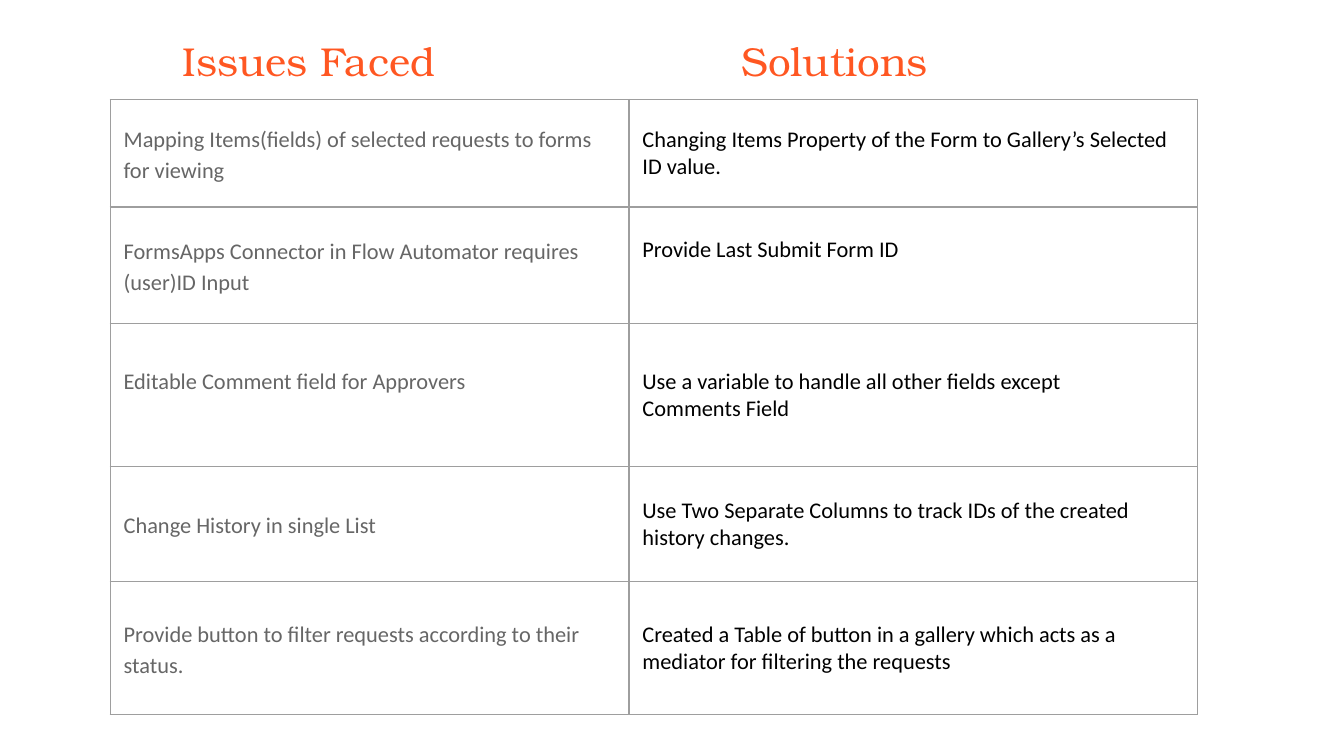
from dataclasses import dataclass

import pptx
import pptx.dml.color
import pptx.enum.text
import pptx.oxml
import pptx.oxml.ns
import pptx.util
from pptx.util import Inches

COLORS = {"heading": "FF5722", "issue": "666666", "solution": "000000", "border": "9E9E9E"}
SLIDE_WIDTH = Inches(10)
MARGIN = Inches(0.1)
MIDDLE = pptx.enum.text.MSO_ANCHOR.MIDDLE
BOTTOM = pptx.enum.text.MSO_ANCHOR.BOTTOM
HEADING_FONT = {"name": "TeX Gyre Bonum", "size": pptx.util.Pt(21.6)}
BODY_FONT = {"name": "Calibri", "size": pptx.util.Pt(12)}
ISSUE_SPACING = {"line_spacing": 1.15, "space_after": pptx.util.Pt(12)}
MARGINS = {f"margin_{side}": MARGIN for side in ("left", "right", "top", "bottom")}


@dataclass
class Heading:
    text: str
    left: float


@dataclass
class TableRow:
    height: float
    issue: str
    solution: str
    issue_lift: float = 0
    solution_lift: float = 0


HEADINGS = [Heading("Issues Faced", 1.26), Heading("Solutions", 5.42)]
COLUMN_WIDTHS = [3.86, 4.23]
ROWS = [
    TableRow(0.8, "Mapping Items(fields) of selected requests to forms for viewing",
             "Changing Items Property of the Form to Gallery’s Selected ID value."),
    TableRow(0.87, "FormsApps Connector in Flow Automator requires (user)ID Input",
             "Provide Last Submit Form ID", solution_lift=0.23),
    TableRow(1.06, "Editable Comment field for Approvers",
             "Use a variable to handle all other fields except\nComments Field", issue_lift=0.23),
    TableRow(0.86, "Change History in single List",
             "Use Two Separate Columns to track IDs of the created history changes."),
    TableRow(0.99, "Provide button to filter requests according to their status.",
             "Created a Table of button in a gallery which acts as a mediator for filtering the requests"),
]


def apply_format(target: object, values: dict) -> None:
    for name, value in values.items():
        setattr(target, name, value)


def write_text(text_frame: pptx.text.text.TextFrame, text: str, font: dict, color: str,
               spacing: dict) -> None:
    text_frame.text = text
    for paragraph in text_frame.paragraphs:
        apply_format(paragraph, spacing)
        for run in paragraph.runs:
            apply_format(run.font, font)
            run.font.color.rgb = pptx.dml.color.RGBColor.from_string(COLORS[color])


def add_heading(slide: pptx.slide.Slide, heading: Heading) -> None:
    shape = slide.shapes.add_textbox(Inches(heading.left), Inches(0.16), Inches(3.07), Inches(0.57))
    apply_format(shape.text_frame, {**MARGINS, "word_wrap": True, "vertical_anchor": BOTTOM})
    write_text(shape.text_frame, heading.text, HEADING_FONT, "heading", {})


def add_borders(cell: pptx.table._Cell) -> None:
    properties = cell._tc.get_or_add_tcPr()
    for position, side in enumerate(("lnL", "lnR", "lnT", "lnB")):
        border = pptx.oxml.parse_xml(
            f'<a:{side} {pptx.oxml.ns.nsdecls("a")} w="{pptx.util.Pt(0.75)}"><a:solidFill>'
            f'<a:srgbClr val="{COLORS["border"]}"/></a:solidFill></a:{side}>')
        properties.insert(position, border)


def fill_cell(cell: pptx.table._Cell, text: str, color: str, spacing: dict, lift: float) -> None:
    """Write one cell; lift is extra bottom margin that raises the centred text."""
    apply_format(cell, {**MARGINS, "margin_bottom": MARGIN + Inches(lift), "vertical_anchor": MIDDLE})
    write_text(cell.text_frame, text, BODY_FONT, color, spacing)
    cell.fill.background()
    add_borders(cell)


def add_issue_table(slide: pptx.slide.Slide) -> None:
    width = Inches(sum(COLUMN_WIDTHS))
    height = Inches(sum(row.height for row in ROWS))
    shape = slide.shapes.add_table(len(ROWS), len(COLUMN_WIDTHS), Inches(0.82), Inches(0.74),
                                   width, height)
    table = shape.table
    apply_format(table, {"first_row": False, "horz_banding": False})
    for column, column_width in zip(table.columns, COLUMN_WIDTHS):
        column.width = Inches(column_width)
    for index, row in enumerate(ROWS):
        table.rows[index].height = Inches(row.height)
        fill_cell(table.cell(index, 0), row.issue, "issue", ISSUE_SPACING, row.issue_lift)
        fill_cell(table.cell(index, 1), row.solution, "solution", {}, row.solution_lift)


def main() -> None:
    presentation = pptx.Presentation()
    presentation.slide_width = SLIDE_WIDTH
    presentation.slide_height = SLIDE_WIDTH * 9 // 16
    slide = presentation.slides.add_slide(presentation.slide_layouts[6])
    add_issue_table(slide)
    for heading in HEADINGS:
        add_heading(slide, heading)
    presentation.save("out.pptx")


if __name__ == "__main__":
    main()
